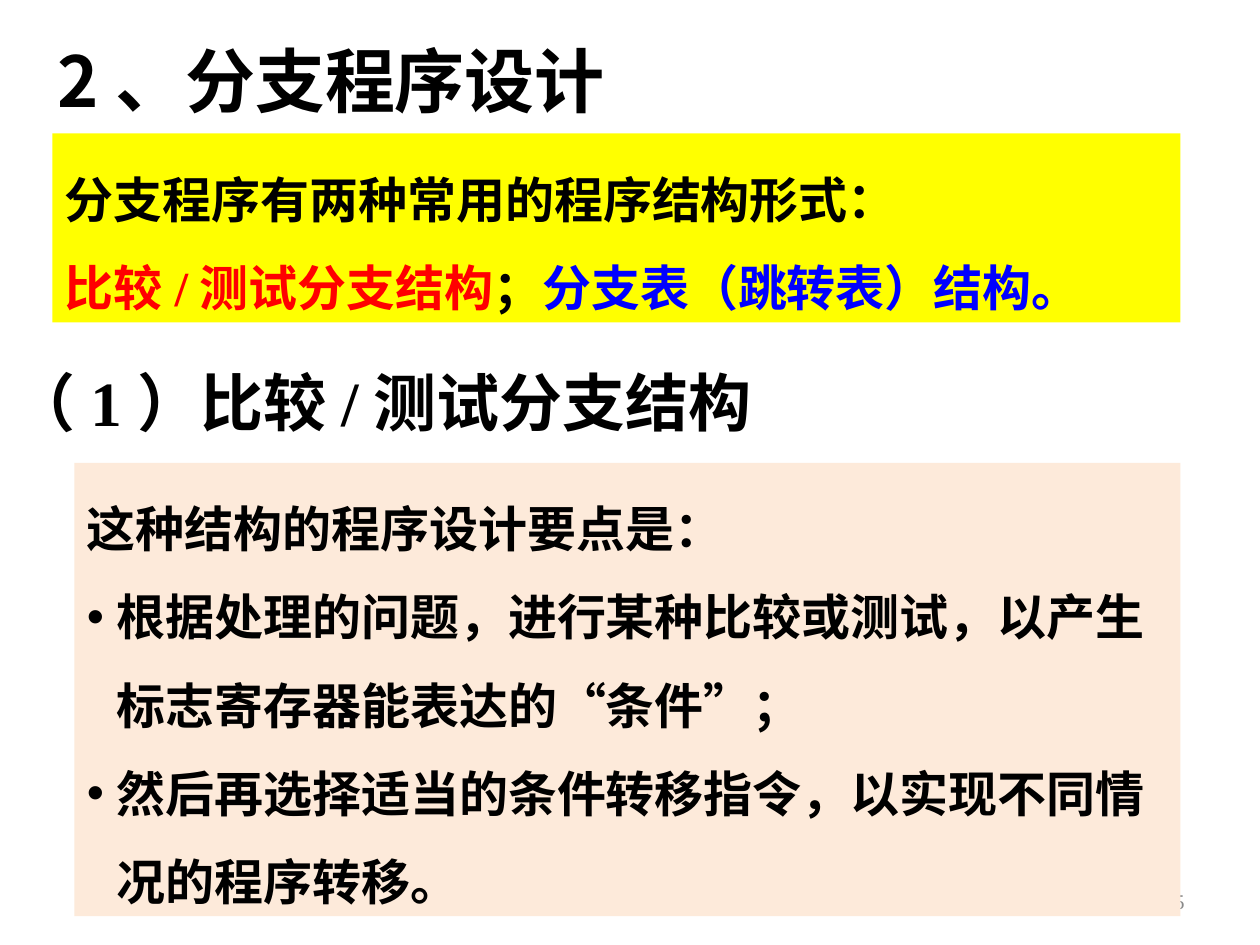
from lxml import etree
from pptx import Presentation
from pptx.dml.color import RGBColor
from pptx.enum.shapes import MSO_SHAPE
from pptx.enum.text import MSO_ANCHOR, MSO_AUTO_SIZE, PP_ALIGN
from pptx.oxml.ns import qn
from pptx.util import Pt

LEFT, RIGHT = PP_ALIGN.LEFT, PP_ALIGN.RIGHT
TOP, MIDDLE = MSO_ANCHOR.TOP, MSO_ANCHOR.MIDDLE
RECT = MSO_SHAPE.RECTANGLE
NO_AUTOFIT = MSO_AUTO_SIZE.NONE

THEME = {
    "black": "000000", "red": "FF0000", "blue": "0000FF", "gray": "898989",
    "yellow": "FFFF00", "peach": "FDEADA",
    "title": 40, "heading": 36, "body": 28, "number": 12,
    "latin": "Times New Roman", "cjk": "Noto Sans CJK SC",
}


def rgb(name):
    return RGBColor.from_string(THEME[name])


def write(sp, paragraphs, size="body", font="latin", color="black", bold=True,
          align=LEFT, anchor=TOP, spacing=1.0, bullets=(), indent=17):
    tf = sp.text_frame
    tf.word_wrap = True
    tf.auto_size = NO_AUTOFIT
    tf.vertical_anchor = anchor
    for i, runs in enumerate(paragraphs):
        p = tf.paragraphs[0] if i == 0 else tf.add_paragraph()
        p.alignment = align
        p.line_spacing = spacing
        p.space_before = Pt(0)
        pPr = p._p.get_or_add_pPr()
        hang = Pt(indent) if i in bullets else 0
        pPr.set("marL", str(hang))
        pPr.set("indent", str(-hang))
        if i in bullets:
            etree.SubElement(pPr, qn("a:buFont"), typeface="Arial")
            etree.SubElement(pPr, qn("a:buChar"), char="•")
        else:
            etree.SubElement(pPr, qn("a:buNone"))
        for text, run_color in [(runs, color)] if isinstance(runs, str) else runs:
            r = p.add_run()
            r.text = text
            r.font.size = Pt(THEME[size])
            r.font.bold = bold
            r.font.name = THEME[font]
            r.font.color.rgb = rgb(run_color)
            etree.SubElement(r._r.get_or_add_rPr(), qn("a:ea"), typeface=THEME["cjk"])


prs = Presentation()
prs.slide_width, prs.slide_height = Pt(720), Pt(540)
s = prs.slides.add_slide(prs.slide_layouts[1])
title, body = s.shapes.title, s.placeholders[1]

number = s.shapes.add_textbox(Pt(516), Pt(500.5), Pt(168), Pt(28.75))
write(number, ["75"], size="number", color="gray", bold=False, align=RIGHT, anchor=MIDDLE)
s.shapes._spTree.insert(2, number._element)

title.left, title.top, title.width, title.height = Pt(25.5), Pt(18), Pt(396), Pt(55.5)
write(title, ["2、分支程序设计"], size="title", font="cjk")

heading = s.shapes.add_textbox(Pt(0), Pt(204), Pt(657), Pt(50.5))
write(heading, ["（1）比较/测试分支结构"], size="heading")

body.left, body.top, body.width, body.height = Pt(42.5), Pt(264.5), Pt(632), Pt(259)
body.fill.solid()
body.fill.fore_color.rgb = rgb("peach")
write(body, [
    "这种结构的程序设计要点是：",
    "根据处理的问题，进行某种比较或测试，以产生标志寄存器能表达的“条件”；",
    "然后再选择适当的条件转移指令，以实现不同情况的程序转移。",
], spacing=1.5, bullets=(1, 2))

summary = s.shapes.add_shape(RECT, Pt(30), Pt(76.25), Pt(644.5), Pt(108))
summary.shadow.inherit = False
summary.fill.solid()
summary.fill.fore_color.rgb = rgb("yellow")
summary.line.fill.background()
write(summary, [
    "分支程序有两种常用的程序结构形式：",
    [("比较/测试分支结构", "red"), ("；", "black"), ("分支表（跳转表）结构。", "blue")],
], spacing=1.5)

prs.save("out.pptx")
